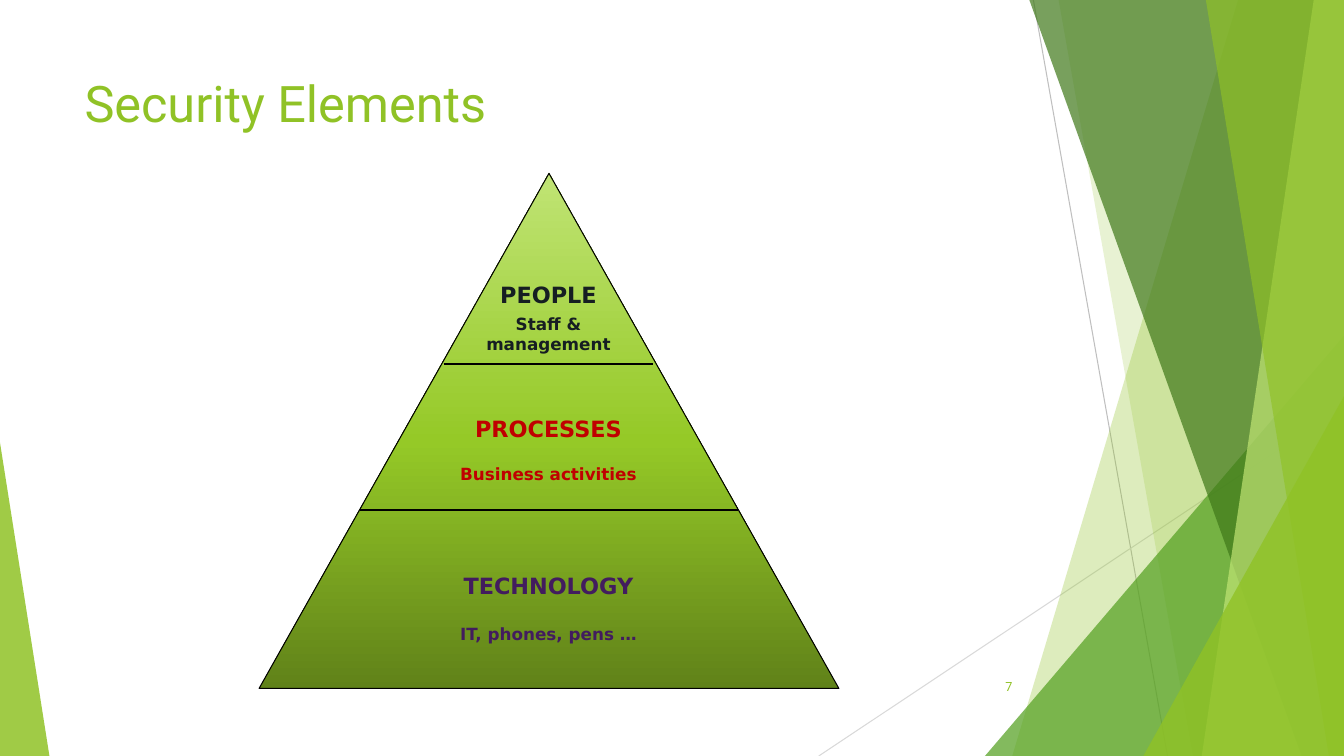
from copy import deepcopy

from lxml import etree
from pptx import Presentation
from pptx.dml.color import RGBColor
from pptx.enum.shapes import MSO_CONNECTOR as Link, MSO_SHAPE as Shape
from pptx.enum.text import MSO_ANCHOR as Anchor, PP_ALIGN as Align
from pptx.oxml.ns import qn
from pptx.util import Inches, Pt

WIDTH, HEIGHT = Inches(13.33), Inches(7.5)
LIME = RGBColor(0x90, 0xC2, 0x26)
LEAF = RGBColor(0x54, 0xA0, 0x21)
FOREST = RGBColor(0x3F, 0x78, 0x19)
PALE = RGBColor(0xC0, 0xE4, 0x74)
BRIGHT = RGBColor(0x95, 0xC9, 0x27)
OLIVE = RGBColor(0x60, 0x82, 0x19)
BLACK = RGBColor(0, 0, 0)
SILVER = RGBColor(0xBF, 0xBF, 0xBF)
MIST = RGBColor(0xD9, 0xD9, 0xD9)
INK = RGBColor(0x16, 0x1E, 0x22)
RED = RGBColor(0xC0, 0, 0)
PURPLE = RGBColor(0x42, 0x1C, 0x5E)
AXIS = 40.81


def col(share):
    """Turn a percentage of the slide width into a length."""
    return round(WIDTH * share / 100)


def row(share):
    """Turn a percentage of the slide height into a length."""
    return round(HEIGHT * share / 100)


def tint(panel, color, opacity):
    """Give a panel a translucent fill with no outline or shadow."""
    panel.shadow.inherit = False
    panel.line.fill.background()
    panel.fill.solid()
    panel.fill.fore_color.rgb = color
    shade = panel.element.spPr.find(qn("a:solidFill"))[0]
    etree.SubElement(shade, qn("a:alpha"), val=str(opacity * 1000))


def add_facet(slide, top_x, bottom_x, color, opacity):
    """Draw a full-height panel from a slanted edge to the right side."""
    outline = slide.shapes.build_freeform(col(top_x), 0)
    outline.add_line_segments(
        [(WIDTH, 0), (WIDTH, HEIGHT), (col(bottom_x), HEIGHT)], close=True)
    tint(outline.convert_to_shape(), color, opacity)


def add_corner(slide, left, top, width, apex, color, opacity):
    """Draw a triangle that stands on the bottom edge of the slide."""
    corner = slide.shapes.add_shape(
        Shape.ISOSCELES_TRIANGLE, col(left), row(top), col(width), HEIGHT - row(top))
    corner.adjustments[0] = apex
    tint(corner, color, opacity)


def add_rule(slide, start, end, color, weight, kind=Link.STRAIGHT):
    """Draw a plain line between two grid points."""
    rule = slide.shapes.add_connector(
        kind, col(start[0]), row(start[1]), col(end[0]), row(end[1]))
    rule.line.color.rgb = color
    rule.line.width = Pt(weight)
    etree.SubElement(rule.element.spPr, qn("a:effectLst"))


def add_pyramid(slide, left, top, width, height):
    """Draw the pyramid, shaded from a dark base to a pale tip."""
    pyramid = slide.shapes.add_shape(
        Shape.ISOSCELES_TRIANGLE, col(left), row(top), col(width), row(height))
    pyramid.shadow.inherit = False
    pyramid.line.color.rgb = BLACK
    pyramid.line.width = Pt(0.75)
    pyramid.fill.gradient()
    pyramid.fill.gradient_angle = 90
    shades = pyramid.element.spPr.find(qn("a:gradFill")).find(qn("a:gsLst"))
    shades.insert(1, deepcopy(shades[0]))
    levels = [(0, OLIVE), (0.48, BRIGHT), (1, PALE)]
    for stop, (position, color) in zip(pyramid.fill.gradient_stops, levels):
        stop.position = position
        stop.color.rgb = color


def add_text(slide, words, left, top, width, height, *, size, color,
             font="DejaVu Sans", bold=False, align=Align.LEFT, anchor=Anchor.TOP):
    """Place one formatted paragraph in a wrapping box."""
    frame = slide.shapes.add_textbox(
        col(left), row(top), col(width), row(height)).text_frame
    frame.word_wrap = True
    frame.vertical_anchor = anchor
    paragraph = frame.paragraphs[0]
    paragraph.alignment = align
    run = paragraph.add_run()
    run.text = words
    run.font.name = font
    run.font.size = Pt(size)
    run.font.bold = bold
    run.font.color.rgb = color


def add_backdrop(slide):
    """Draw the thin lines and green panels around the content."""
    add_rule(slide, (76.89, 0), (86.87, 100), SILVER, 0.75)
    add_rule(slide, (100, 53.73), (60.92, 100), MIST, 0.75)
    add_facet(slide, 92.12, 75.32, LIME, 30)
    add_facet(slide, 78.77, 88.75, LIME, 20)
    add_corner(slide, 73.29, 44.4, 26.71, 1, LEAF, 72)
    add_facet(slide, 76.59, 96.85, FOREST, 70)
    add_facet(slide, 97.75, 89.42, PALE, 70)
    add_facet(slide, 89.72, 98.87, LIME, 65)
    add_corner(slide, 85.07, 52.4, 14.93, 1, LIME, 80)
    add_corner(slide, 0, 58.53, 3.68, 0, LIME, 85)


def main():
    """Build and save the security elements slide."""
    deck = Presentation()
    deck.slide_width, deck.slide_height = WIDTH, HEIGHT
    slide = deck.slides.add_slide(deck.slide_layouts[6])
    add_backdrop(slide)
    add_text(slide, "Security Elements", 5.55, 8.93, 70.52, 19.2,
             size=36, color=LIME, font="Roboto")
    add_pyramid(slide, 19.28, 22.93, 43.14, 68.13)
    add_rule(slide, (33.01, 48.13), (48.61, 48.13), BLACK, 1, Link.ELBOW)
    add_rule(slide, (26.78, 67.47), (54.91, 67.47), BLACK, 1)
    labels = [
        ("PEOPLE", 36.53, 8.78, 4.93, 16, INK),
        ("Staff & management", 40.8, 15.68, 6.67, 12, INK),
        ("PROCESSES", 54.27, 19.35, 4.93, 16, RED),
        ("Business activities", 60.67, 23.33, 4, 12, RED),
        ("TECHNOLOGY", 75.07, 31.88, 4.93, 16, PURPLE),
        ("IT, phones, pens …", 81.87, 16.65, 4, 12, PURPLE),
    ]
    for words, top, width, height, size, color in labels:
        add_text(slide, words, AXIS - width / 2, top, width, height,
                 size=size, color=color, bold=True, align=Align.CENTER)
    add_text(slide, "7", 70.44, 88.13, 5.63, 5.33, size=9, color=LIME,
             font="Roboto", align=Align.RIGHT, anchor=Anchor.MIDDLE)
    deck.save("out.pptx")


if __name__ == "__main__":
    main()
